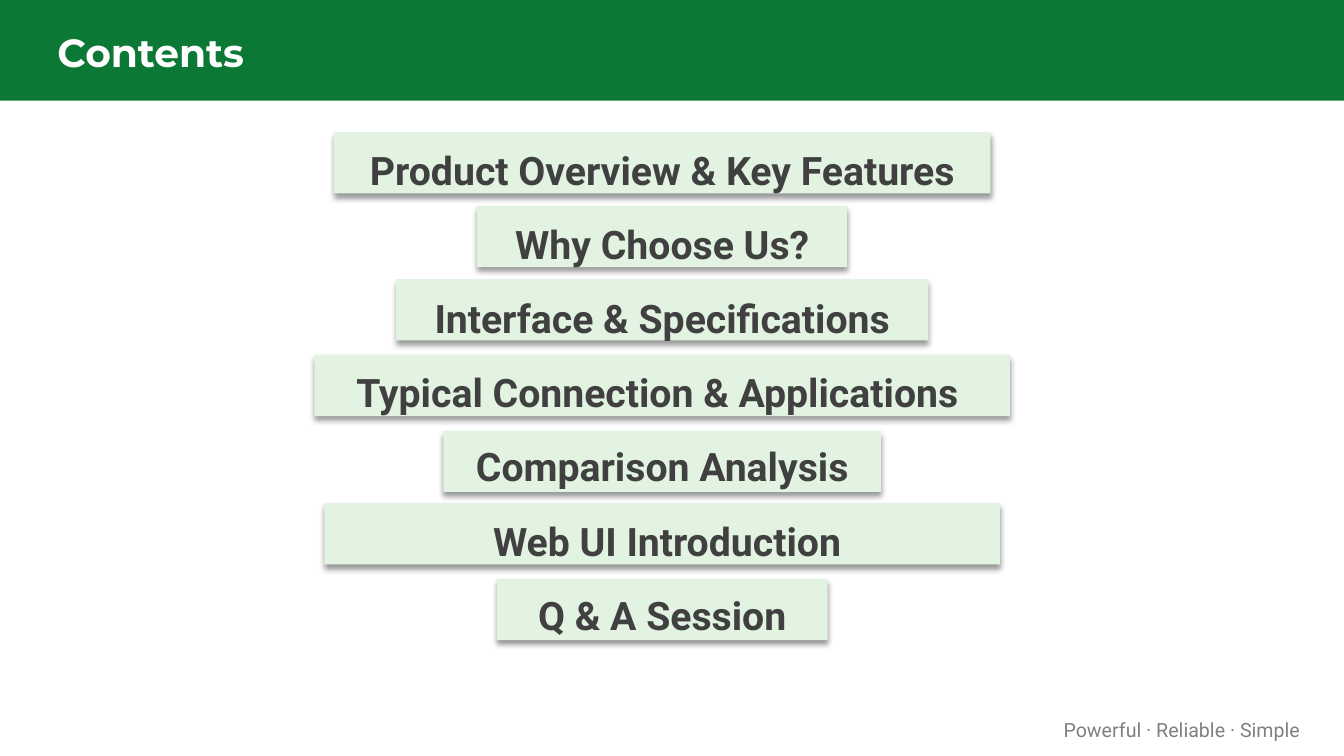
import dataclasses
import typing

import lxml.etree
import pptx
import pptx.dml.color
import pptx.enum.shapes
import pptx.enum.text
import pptx.oxml
import pptx.oxml.ns
import pptx.util

Pt = pptx.util.Pt
Align = pptx.enum.text.PP_ALIGN
Anchor = pptx.enum.text.MSO_ANCHOR


@dataclasses.dataclass(frozen=True)
class Theme:
    header: str = "0B7935"
    bar: str = "E2F3E1"
    title: str = "FFFFFF"
    body: str = "404040"
    tagline: str = "808080"
    shadow: str = "000000"
    title_font: str = "Montserrat"
    body_font: str = "Roboto"
    large: float = 28
    small: float = 14


@dataclasses.dataclass(frozen=True)
class Topic:
    text: str
    top: float
    width: float


THEME = Theme()
SLIDE_WIDTH, SLIDE_HEIGHT = 960, 540
BAR_CENTER, BAR_HEIGHT = 473, 43.8
TOPICS = [
    Topic("Product Overview & Key Features", 94.4, 469),
    Topic("Why Choose Us?", 147, 264.4),
    Topic("Interface & Specifications", 199.4, 380.2),
    Topic("Typical Connection & Applications ", 253.4, 496.8),
    Topic("Comparison Analysis", 307.6, 312.6),
    Topic(" Web UI Introduction", 359.4, 482.6),
    Topic("Q & A Session", 413.4, 236.2),
]


def place(box: typing.Any, left: float, top: float, width: float, height: float) -> None:
    box.left, box.top, box.width, box.height = Pt(left), Pt(top), Pt(width), Pt(height)


def prepare_frame(box: typing.Any, anchor: typing.Any, side: float, edge: float) -> typing.Any:
    frame = box.text_frame
    frame.word_wrap = True
    frame.auto_size = pptx.enum.text.MSO_AUTO_SIZE.NONE
    frame.vertical_anchor = anchor
    frame.margin_left = frame.margin_right = Pt(side)
    frame.margin_top = frame.margin_bottom = Pt(edge)
    return frame


def write(para: typing.Any, text: str, *, font: str, size: float, color: str,
          bold: bool = False, align: typing.Any = Align.LEFT,
          line: typing.Optional[float] = None, after: float = 0) -> None:
    properties = para._p.get_or_add_pPr()
    properties.set("marL", "0")
    properties.set("indent", "0")
    lxml.etree.SubElement(properties, pptx.oxml.ns.qn("a:buNone"))
    para.alignment = align
    para.space_before, para.space_after = Pt(0), Pt(after)
    if line is not None:
        para.line_spacing = Pt(line)
    span = para.add_run()
    span.text = text
    span.font.name, span.font.size, span.font.bold = font, Pt(size), bold
    span.font.color.rgb = pptx.dml.color.RGBColor.from_string(color)


def add_rectangle(page: typing.Any, color: str, left: float, top: float,
                  width: float, height: float) -> typing.Any:
    box = page.shapes.add_shape(pptx.enum.shapes.MSO_SHAPE.RECTANGLE,
                                Pt(left), Pt(top), Pt(width), Pt(height))
    box.shadow.inherit = False
    box.fill.solid()
    box.fill.fore_color.rgb = pptx.dml.color.RGBColor.from_string(color)
    box.line.fill.background()
    return box


def add_shadow(box: typing.Any) -> None:
    effects = box.element.spPr.find(pptx.oxml.ns.qn("a:effectLst"))
    effects.append(pptx.oxml.parse_xml(
        f'<a:outerShdw {pptx.oxml.ns.nsdecls("a")} blurRad="{Pt(4)}" dist="{Pt(3)}" '
        f'dir="5400000" algn="t" rotWithShape="0"><a:srgbClr val="{THEME.shadow}">'
        '<a:alpha val="40000"/></a:srgbClr></a:outerShdw>'))


def add_title(page: typing.Any) -> None:
    title = page.shapes.title
    place(title, 36, 13, 888, 48)
    header = add_rectangle(page, THEME.header, 0, 0, SLIDE_WIDTH, 72)
    title.element.addprevious(header.element)
    frame = prepare_frame(title, Anchor.MIDDLE, 5, 2.2)
    write(frame.paragraphs[0], "Contents", font=THEME.title_font,
          size=THEME.large, color=THEME.title, bold=True)


def add_topics(page: typing.Any, topics: typing.Sequence[Topic]) -> None:
    body = page.placeholders[1]
    place(body, 123.8, 108.7, 698.4, 331.2)
    frame = prepare_frame(body, Anchor.MIDDLE, 5, 2.2)
    for index, topic in enumerate(topics):
        bar = add_rectangle(page, THEME.bar, BAR_CENTER - topic.width / 2,
                            topic.top, topic.width, BAR_HEIGHT)
        add_shadow(bar)
        body.element.addprevious(bar.element)
        para = frame.add_paragraph() if index else frame.paragraphs[0]
        write(para, topic.text, font=THEME.body_font, size=THEME.large,
              color=THEME.body, bold=True, align=Align.CENTER, line=45, after=8)


def add_tagline(page: typing.Any) -> None:
    box = page.shapes.add_textbox(Pt(733.7), Pt(509), Pt(207.4), Pt(24.4))
    frame = prepare_frame(box, Anchor.TOP, 12.4, 3.6)
    write(frame.paragraphs[0], "Powerful · Reliable · Simple", font=THEME.body_font,
          size=THEME.small, color=THEME.tagline, align=Align.RIGHT)


def main() -> None:
    deck = pptx.Presentation()
    deck.slide_width, deck.slide_height = Pt(SLIDE_WIDTH), Pt(SLIDE_HEIGHT)
    page = deck.slides.add_slide(deck.slide_layouts[1])
    add_title(page)
    add_topics(page, TOPICS)
    add_tagline(page)
    deck.save("out.pptx")


if __name__ == "__main__":
    main()
